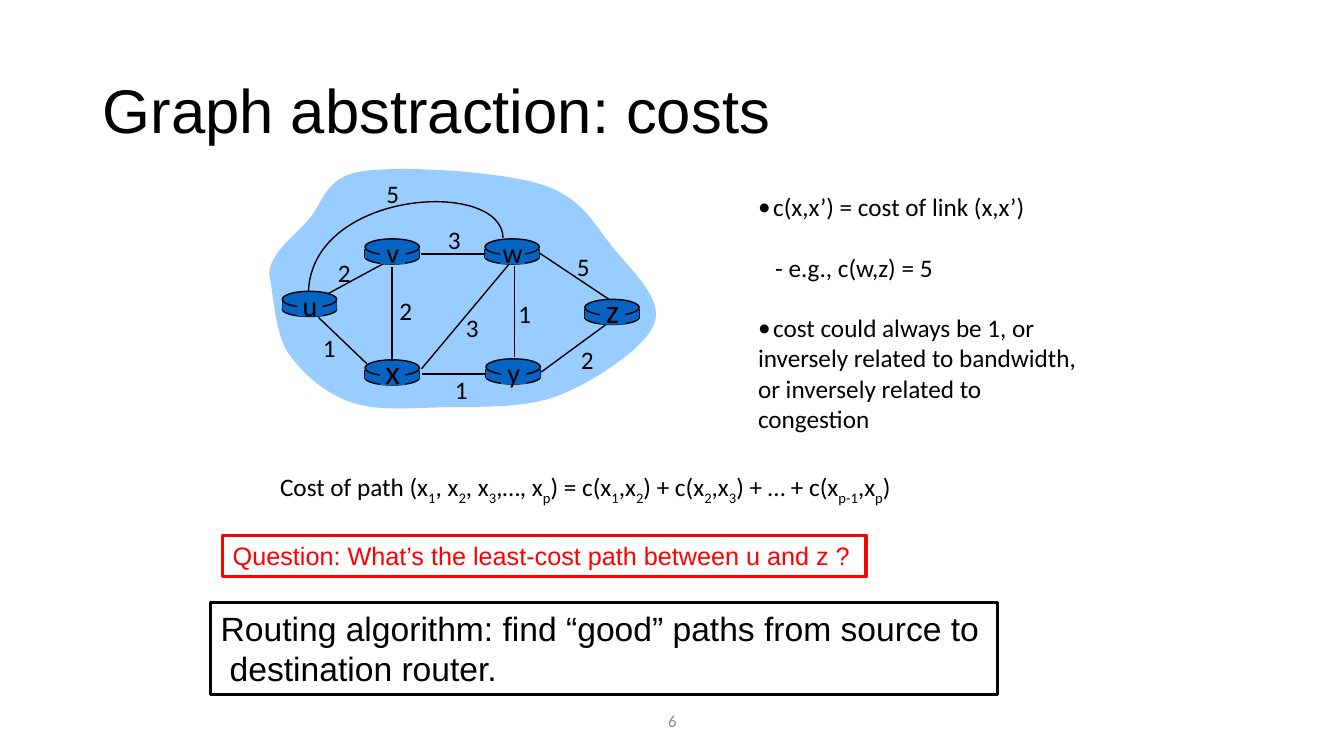
"""Build the slide on link costs in a network graph."""
import dataclasses

import pptx
import pptx.dml.color
import pptx.enum.shapes
import pptx.enum.text
import pptx.oxml.ns
import pptx.util
from lxml import etree

Inches = pptx.util.Inches
Pt = pptx.util.Pt
Align = pptx.enum.text.PP_ALIGN
Anchor = pptx.enum.text.MSO_ANCHOR
Preset = pptx.enum.shapes.MSO_SHAPE
RGBColor = pptx.dml.color.RGBColor
qn = pptx.oxml.ns.qn

BLACK = RGBColor(0x00, 0x00, 0x00)
GREY = RGBColor(0x8C, 0x8C, 0x8C)
RED = RGBColor(0xFF, 0x00, 0x00)
ROUTER_BLUE = RGBColor(0x05, 0x63, 0xC1)
CLOUD_BLUE = RGBColor(0x99, 0xCC, 0xFF)
ROUTER_WIDTH = 0.54


@dataclasses.dataclass(frozen=True)
class Style:
    """Look of a block of text."""
    size: float
    font: str = "Calibri"
    color: RGBColor = BLACK
    align: Align = Align.LEFT
    anchor: Anchor = Anchor.TOP


@dataclasses.dataclass(frozen=True)
class Line:
    """One paragraph, with parts between bars set as subscripts."""
    text: str
    indent: float = 0
    bullet: bool = False
    after: float = 0
    spacing: float = 1


@dataclasses.dataclass(frozen=True)
class Router:
    """A named router with the top left corner of its disc."""
    name: str
    left: float
    top: float
    size: float = 20


@dataclasses.dataclass(frozen=True)
class Link:
    """A straight link with its cost and the corner of the cost label."""
    start: tuple
    end: tuple
    cost: str
    label: tuple


ROUTERS = [
    Router("u", 2.8, 2.89), Router("x", 3.62, 3.57, 24), Router("v", 3.62, 2.37),
    Router("w", 4.81, 2.37), Router("y", 4.82, 3.56), Router("z", 5.8, 2.97, 24),
]
LINKS = [
    Link((3.26, 2.91), (3.85, 2.59), "2", (3.25, 2.5)),
    Link((5.1, 2.64), (5.1, 3.54), "1", (5.04, 2.91)),
    Link((3.89, 2.65), (3.89, 3.58), "2", (3.86, 2.88)),
    Link((4.18, 3.66), (5.05, 2.62), "3", (4.52, 3.05)),
    Link((5.37, 3.69), (6.01, 3.22), "2", (5.66, 3.37)),
    Link((4.82, 3.71), (4.19, 3.71), "1", (4.41, 3.66)),
    Link((3.64, 3.61), (3.16, 3.15), "1", (3.1, 3.25)),
    Link((4.81, 2.52), (4.18, 2.52), "3", (4.34, 2.18)),
    Link((6.04, 2.97), (5.35, 2.51), "5", (5.62, 2.44)),
]
CLOUD = [
    (2.67, 2.72), (2.68, 2.51), (2.9, 2.36), (3.05, 2.19), (3.21, 2.02), (3.21, 1.76),
    (3.59, 1.7), (3.98, 1.64), (4.95, 1.7), (5.37, 1.83), (5.78, 1.96), (5.9, 2.24),
    (6.09, 2.47), (6.28, 2.7), (6.58, 2.97), (6.49, 3.21), (6.4, 3.45), (5.9, 3.78),
    (5.55, 3.92), (5.2, 4.06), (4.74, 4.03), (4.4, 4.04), (4.05, 4.05), (3.74, 4.08),
    (3.48, 3.99), (3.22, 3.9), (2.99, 3.7), (2.85, 3.49), (2.72, 3.28), (2.71, 2.88),
    (2.67, 2.72),
]
ARC = [(4.99, 2.36), (4.98, 1.77), (3.1, 1.88), (3.06, 2.89)]
COST_STYLE = Style(18, align=Align.CENTER)
NOTES = [
    Line("c(x,x’) = cost of link (x,x’)", 0.15, True, 21.6),
    Line("- e.g., c(w,z) = 5", 0.17, after=21.6),
    Line("cost could always be 1, or", 0.15, True),
    Line("inversely related to bandwidth,"),
    Line("or inversely related to"),
    Line("congestion"),
]
PATH_COST = ("Cost of path (x|1|, x|2|, x|3|,…, x|p|) = c(x|1|,x|2|) + "
             "c(x|2|,x|3|) + … + c(x|p-1|,x|p|)")


def inches(*lengths: float) -> list:
    """Convert lengths in inches to slide units."""
    return [Inches(length) for length in lengths]


def write(box, lines: list, style: Style) -> None:
    """Put the lines into a shape in the given style."""
    frame = box.text_frame
    frame.text = "\n".join("" for _ in lines)
    frame.word_wrap = style.align != Align.CENTER
    frame.vertical_anchor = style.anchor
    for para, line in zip(frame.paragraphs, lines):
        para.alignment = style.align
        para.line_spacing = line.spacing
        para.space_after = Pt(line.after)
        properties = para._p.get_or_add_pPr()
        properties.set("marL", str(Inches(line.indent)))
        if line.bullet:
            properties.set("indent", str(-Inches(line.indent)))
            etree.SubElement(properties, qn("a:buFont")).set("typeface", "Calibri")
            etree.SubElement(properties, qn("a:buChar")).set("char", "•")
        for index, part in enumerate(filter(None, line.text.split("|"))):
            span = para.add_run()
            span.text = part
            span.font.size = Pt(style.size)
            span.font.name = style.font
            span.font.color.rgb = style.color
            if index % 2:
                span._r.get_or_add_rPr().set("baseline", "-25000")


def add_text(shapes, at: tuple, lines: list, style: Style) -> None:
    """Add a text box."""
    write(shapes.add_textbox(*inches(*at)), lines, style)


def paint(shape, fill=None, line=None, width: float = 1) -> None:
    """Set fill and outline, leaving out whichever is not given."""
    shape.shadow.inherit = False
    if fill is None:
        shape.fill.background()
    else:
        shape.fill.solid()
        shape.fill.fore_color.rgb = fill
    if line is None:
        shape.line.fill.background()
    else:
        shape.line.color.rgb = line
        shape.line.width = Pt(width)


def add_framed(shapes, at: tuple, lines: list, style: Style) -> None:
    """Add text in a frame of its own colour."""
    box = shapes.add_shape(Preset.RECTANGLE, *inches(*at))
    paint(box, line=style.color, width=2.25)
    write(box, lines, style)


def add_line(shapes, start: tuple, end: tuple) -> None:
    """Add a thin straight line."""
    kind = pptx.enum.shapes.MSO_CONNECTOR.STRAIGHT
    line = shapes.add_connector(kind, *inches(*start, *end))
    line.line.color.rgb = BLACK
    line.line.width = Pt(1)
    etree.SubElement(line._element.spPr, qn("a:effectLst"))


def add_curve(shapes, points: list, closed: bool, fill=None, line=None) -> None:
    """Add an outline through a chain of cubic curves."""
    builder = shapes.build_freeform(*inches(*points[0]))
    builder.add_line_segments([inches(*point) for point in points[1:]], close=closed)
    shape = builder.convert_to_shape()
    segments = list(shape._element.iter(qn("a:lnTo")))
    for first in range(0, len(segments), 3):
        curve = etree.Element(qn("a:cubicBezTo"))
        segments[first].addprevious(curve)
        for segment in segments[first:first + 3]:
            curve.append(segment[0])
            segment.getparent().remove(segment)
    paint(shape, fill, line)


def add_router(shapes, router: Router) -> None:
    """Add a router drawn as a flat disc."""
    left, top = router.left, router.top
    right = left + ROUTER_WIDTH
    base = shapes.add_shape(Preset.OVAL, *inches(left, top + 0.11, ROUTER_WIDTH, 0.14))
    paint(base, ROUTER_BLUE, BLACK)
    for edge in (left, right):
        add_line(shapes, (edge, top + 0.1), (edge, top + 0.19))
    side = shapes.add_shape(Preset.RECTANGLE, *inches(left, top + 0.1, ROUTER_WIDTH, 0.09))
    paint(side, ROUTER_BLUE)
    lid = shapes.add_shape(Preset.OVAL, *inches(left, top, ROUTER_WIDTH, 0.16))
    paint(lid, ROUTER_BLUE, BLACK)


def add_router_name(shapes, router: Router) -> None:
    """Add the name of a router on a plain patch."""
    left, top = router.left, router.top
    patch = shapes.add_shape(Preset.RECTANGLE, *inches(left + 0.15, top + 0.02, 0.25, 0.23))
    paint(patch, ROUTER_BLUE)
    lift = 0.08 + 0.015 * (router.size - 20)
    add_text(shapes, (left + 0.07, top - lift, 0.41, 0.44), [Line(router.name)],
             Style(router.size, align=Align.CENTER))


def add_network(shapes) -> None:
    """Add the cloud with its routers, links and costs."""
    add_curve(shapes, CLOUD, True, fill=CLOUD_BLUE)
    add_line(shapes, LINKS[0].start, LINKS[0].end)
    for router in ROUTERS:
        add_router(shapes, router)
    for link in LINKS[1:]:
        add_line(shapes, link.start, link.end)
    add_curve(shapes, ARC, False, line=BLACK)
    for router in ROUTERS:
        add_router_name(shapes, router)
    for cost, corner in [(link.cost, link.label) for link in LINKS] + [("5", (3.73, 1.72))]:
        add_text(shapes, (*corner, 0.33, 0.4), [Line(cost)], COST_STYLE)


deck = pptx.Presentation()
deck.slide_width, deck.slide_height = inches(13.33, 7.5)
page = deck.slides.add_slide(deck.slide_layouts[6])
add_text(page.shapes, (4.42, 6.95, 4.5, 0.4), [Line("6")],
         Style(12, color=GREY, align=Align.CENTER, anchor=Anchor.MIDDLE))
add_text(page.shapes, (0.92, 0.4, 11.5, 1.45), [Line("Graph abstraction: costs", spacing=0.9)],
         Style(44, "Arial", anchor=Anchor.MIDDLE))
add_network(page.shapes.add_group_shape().shapes)
add_text(page.shapes, (7.42, 1.85, 3.4, 2.52), NOTES, Style(18))
add_text(page.shapes, (2.68, 4.63, 6.57, 0.4), [Line(PATH_COST)], Style(18))
add_framed(page.shapes, (2.21, 5.31, 6.38, 0.41),
           [Line("Question: What’s the least-cost path between u and z ?")],
           Style(18, "Arial", RED))
add_framed(page.shapes, (2.09, 5.98, 7.8, 0.91),
           [Line("Routing algorithm: find “good” paths from source to"),
            Line("destination router.", 0.09)], Style(24, "Arial"))
deck.save("out.pptx")
